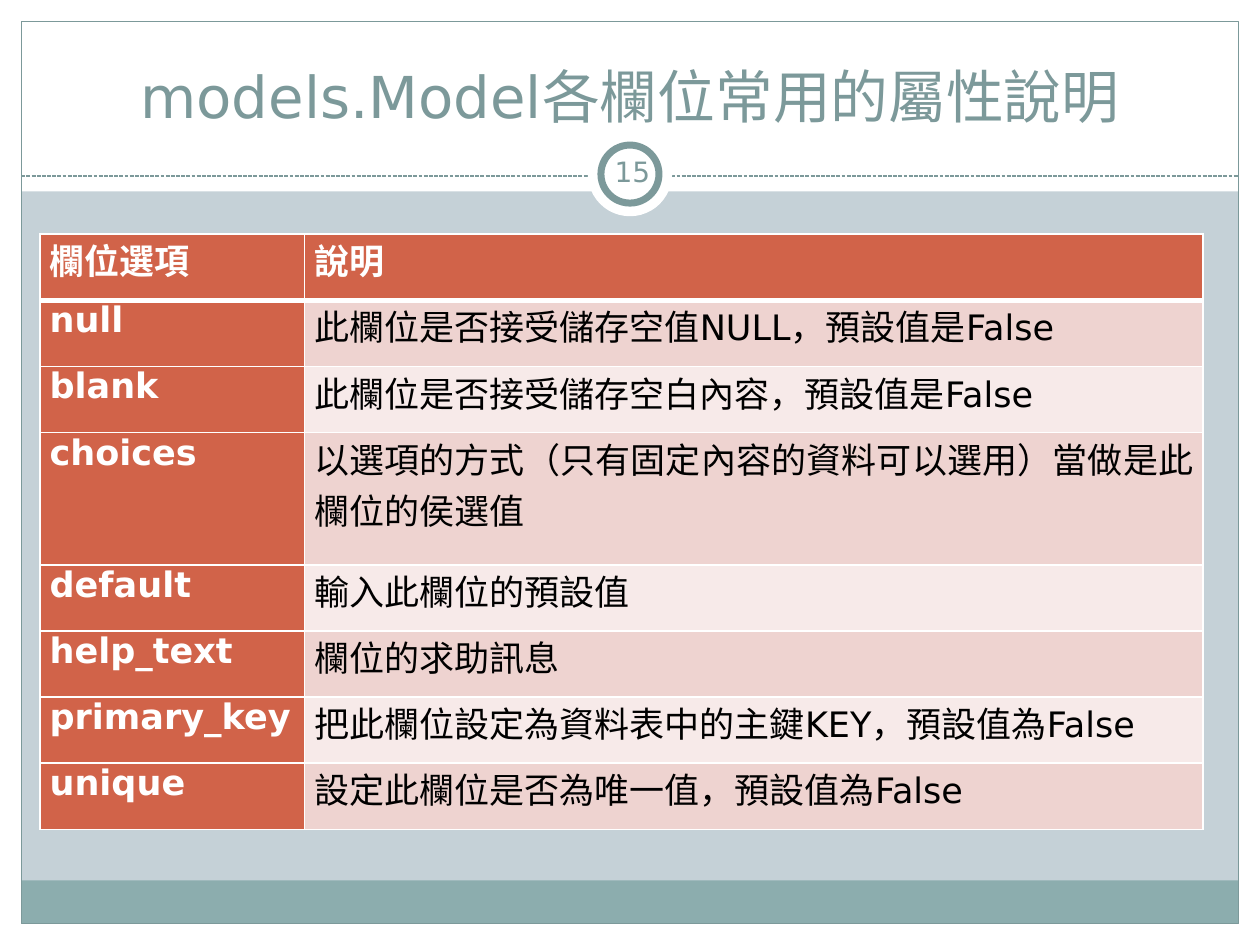
from lxml.etree import SubElement
from pptx import Presentation
from pptx.dml.color import RGBColor
from pptx.enum.dml import MSO_LINE
from pptx.enum.shapes import MSO_CONNECTOR, MSO_SHAPE
from pptx.enum.text import MSO_ANCHOR, PP_ALIGN
from pptx.oxml.ns import qn
from pptx.util import Cm, Pt

COLORS = {
    "background": "C5D1D7",
    "white": "FFFFFF",
    "black": "000000",
    "accent": "7C999A",
    "footer": "8CADAE",
    "header": "D16349",
    "odd": "EED3D0",
    "even": "F7EAE9",
}
FONT = "DejaVu Sans"
W, H = 25.4, 19.05
MARGIN = 0.43
ROWS = [
    ("欄位選項", "說明"),
    ("null", "此欄位是否接受儲存空值NULL，預設值是False"),
    ("blank", "此欄位是否接受儲存空白內容，預設值是False"),
    ("choices", "以選項的方式（只有固定內容的資料可以選用）當做是此欄位的侯選值"),
    ("default", "輸入此欄位的預設值"),
    ("help_text", "欄位的求助訊息"),
    ("primary_key", "把此欄位設定為資料表中的主鍵KEY，預設值為False"),
    ("unique", "設定此欄位是否為唯一值，預設值為False"),
]


def rgb(name):
    return RGBColor.from_string(COLORS[name])


def set_attrs(obj, values):
    for name, value in values.items():
        setattr(obj, name, value)


def add_block(s, kind, box, fill=None, line=None, width=0.75):
    sp = s.shapes.add_shape(kind, *map(Cm, box))
    sp.shadow.inherit = False
    if fill:
        sp.fill.solid()
        sp.fill.fore_color.rgb = rgb(fill)
    else:
        sp.fill.background()
    if line:
        sp.line.color.rgb = rgb(line)
        sp.line.width = Pt(width)
    else:
        sp.line.fill.background()
    return sp


def write_text(tf, text, size, color, bold=False, **para):
    p = tf.paragraphs[0]
    set_attrs(p, para)
    r = p.add_run()
    r.text = text
    set_attrs(r.font, {"name": FONT, "size": Pt(size), "bold": bold})
    r.font.color.rgb = rgb(color)


def add_label(s, box, text, size, anchor, inset):
    tf = s.shapes.add_textbox(*map(Cm, box)).text_frame
    set_attrs(tf, {
        "word_wrap": True, "vertical_anchor": anchor,
        "margin_left": Cm(inset), "margin_right": Cm(inset),
        "margin_top": Cm(0.13), "margin_bottom": Cm(0.13),
    })
    write_text(tf, text, size, "accent", alignment=PP_ALIGN.CENTER)


def add_frame(s, x, y, w, h):
    rect = MSO_SHAPE.RECTANGLE
    inner_w, inner_h = w - 2 * MARGIN, h - 2 * MARGIN
    bottom = y + h - MARGIN
    for box in (
        (x, bottom, w, MARGIN),
        (x, y, w, 3.86),
        (x, y, MARGIN, h),
        (x + w - MARGIN, y, MARGIN, h),
    ):
        add_block(s, rect, box, "white")
    add_block(s, rect, (x + MARGIN, bottom - 0.87, inner_w, 0.87), "footer")
    add_block(s, rect, (x + MARGIN, y + MARGIN, inner_w, inner_h), line="accent")


def add_divider(s, x, y, w):
    line = s.shapes.add_connector(
        MSO_CONNECTOR.STRAIGHT, Cm(x), Cm(y), Cm(x + w), Cm(y))
    set_attrs(line.line, {"width": Pt(0.75), "dash_style": MSO_LINE.SQUARE_DOT})
    line.line.color.rgb = rgb("accent")
    SubElement(line._element.spPr, qn("a:effectLst"))


def add_badge(s, x, y, size, number):
    ring = 1.17
    gap = (size - ring) / 2
    add_block(s, MSO_SHAPE.OVAL, (x, y, size, size), "white")
    add_block(s, MSO_SHAPE.OVAL, (x + gap, y + gap, ring, ring),
              "white", "accent", 4)
    add_label(s, (x + gap, y + 0.18, 1.27, 1.22), number, 16,
              MSO_ANCHOR.MIDDLE, 0.13)


def add_borders(cell, widths):
    tc_pr = cell._tc.get_or_add_tcPr()
    for side, width in widths.items():
        ln = SubElement(tc_pr, qn(f"a:ln{side}"), w=str(Pt(width)))
        fill = SubElement(ln, qn("a:solidFill"))
        SubElement(fill, qn("a:srgbClr"), val=COLORS["white"])


def add_options_table(s, x, y, w, h):
    first_col = 5.33
    unit = h / (len(ROWS) + 1)
    table = s.shapes.add_table(len(ROWS), 2, *map(Cm, (x, y, w, h))).table
    for col, width in zip(table.columns, (first_col, w - first_col)):
        col.width = Cm(width)
    for i, row in enumerate(ROWS):
        table.rows[i].height = Cm(unit * (2 if row[0] == "choices" else 1))
        for j, text in enumerate(row):
            cell = table.cell(i, j)
            heading = i == 0 or j == 0
            set_attrs(cell, {
                "margin_left": Cm(0.19), "margin_right": Cm(0.19),
                "margin_top": 0, "margin_bottom": 0,
            })
            add_borders(cell, {"L": 1, "R": 1, "T": 3 if i == 1 else 1,
                               "B": 3 if i == 0 else 1})
            cell.fill.solid()
            band = "odd" if i % 2 else "even"
            cell.fill.fore_color.rgb = rgb("header" if heading else band)
            write_text(cell.text_frame, text, 20,
                       "white" if heading else "black", heading,
                       alignment=PP_ALIGN.JUSTIFY,
                       space_before=Pt(6), space_after=Pt(6))


def main():
    prs = Presentation()
    set_attrs(prs, {"slide_width": Cm(W), "slide_height": Cm(H)})
    s = prs.slides.add_slide(prs.slide_layouts[6])
    s.background.fill.solid()
    s.background.fill.fore_color.rgb = rgb("background")
    add_frame(s, 0, 0, W, H)
    add_divider(s, MARGIN, 3.55, W - 2 * MARGIN)
    add_badge(s, 11.85, 2.66, 1.7, "15")
    add_label(s, (0.85, 0.64, 23.7, 2.11), "models.Model各欄位常用的屬性說明",
              33, MSO_ANCHOR.BOTTOM, 0.25)
    add_options_table(s, 0.81, 4.72, 23.44, 12)
    prs.save("out.pptx")


if __name__ == "__main__":
    main()
